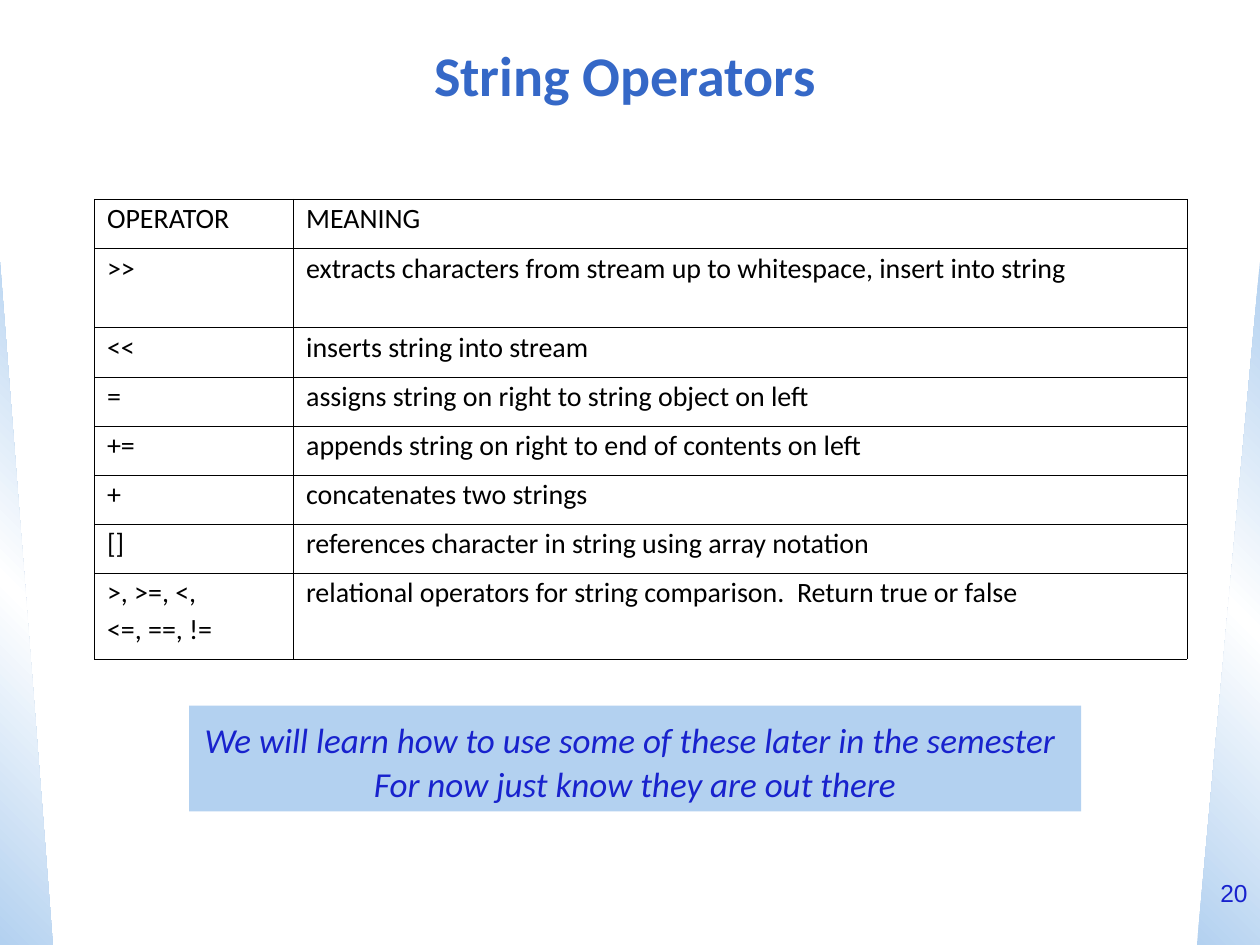
from copy import deepcopy

from lxml.etree import SubElement
from pptx import Presentation
from pptx.dml.color import RGBColor
from pptx.enum.shapes import MSO_SHAPE
from pptx.enum.text import MSO_ANCHOR, MSO_AUTO_SIZE, PP_ALIGN
from pptx.oxml.ns import qn
from pptx.util import Inches, Pt

OPERATORS = [
    ("OPERATOR", "MEANING"),
    (">>", "extracts characters from stream up to whitespace, insert into string"),
    ("<<", "inserts string into stream"),
    ("=", "assigns string on right to string object on left"),
    ("+=", "appends string on right to end of contents on left"),
    ("+", "concatenates two strings"),
    ("[]", "references character in string using array notation"),
    (">, >=, <,\n<=, ==, !=",
     "relational operators for string comparison.  Return true or false"),
]
ROW_HEIGHTS = [0.39, 0.63] + [0.39] * 5 + [0.68]
COLUMN_WIDTHS = [1.58, 7.09]


def color(value):
    return RGBColor.from_string(value)


class SlideBuilder:
    font = "Calibri"
    black = "000000"
    title_blue = "3568C7"
    ink_blue = "1822CD"
    pale_blue = "B3D1F0"
    white = "FFFFFF"
    outer_border = 0.23
    inner_border = 0.11

    def __init__(self, slide):
        self.slide = slide

    def add_run(self, paragraph, text, size, fill, font=None, bold=False, italic=False):
        run = paragraph.add_run()
        run.text = text
        run.font.name = font or self.font
        run.font.size = Pt(size)
        run.font.bold = bold
        run.font.italic = italic
        run.font.color.rgb = color(fill)

    def paragraphs(self, frame, count):
        return [frame.paragraphs[0]] + [frame.add_paragraph() for _ in range(count - 1)]

    def title(self, text, left, top, width, height):
        shape = self.slide.shapes.title
        shape.left, shape.top = Inches(left), Inches(top)
        shape.width, shape.height = Inches(width), Inches(height)
        shape.text_frame.vertical_anchor = MSO_ANCHOR.MIDDLE
        paragraph = shape.text_frame.paragraphs[0]
        paragraph.alignment = PP_ALIGN.CENTER
        self.add_run(paragraph, text, 32, self.title_blue, bold=True)

    def shape(self, kind, left, top, width, height):
        shape = self.slide.shapes.add_shape(
            kind, Inches(left), Inches(top), Inches(width), Inches(height))
        shape.shadow.inherit = False
        shape.line.fill.background()
        return shape

    def side_triangle(self, left, width, angle, mirrored=False):
        shape = self.shape(MSO_SHAPE.RIGHT_TRIANGLE, left, 2.08, width, 5.42)
        shape.fill.gradient()
        shape.fill.gradient_angle = angle
        stop_list = shape.element.spPr.find(qn("a:gradFill")).find(qn("a:gsLst"))
        stop_list.append(deepcopy(stop_list[0]))
        stops = [(0, self.pale_blue), (0.5, self.white), (1, self.pale_blue)]
        for stop, (position, fill) in zip(shape.fill.gradient_stops, stops):
            stop.position = position
            stop.color.rgb = color(fill)
        if mirrored:
            shape.element.spPr.find(qn("a:xfrm")).set("flipH", "1")

    def cell_borders(self, cell, outer_sides):
        properties = cell._tc.get_or_add_tcPr()
        for index, side in enumerate("LRTB"):
            width = self.outer_border if side in outer_sides else self.inner_border
            line = SubElement(properties, qn(f"a:ln{side}"), w=str(int(Pt(width))))
            fill = SubElement(line, qn("a:solidFill"))
            SubElement(fill, qn("a:srgbClr"), val=self.black)
            properties.insert(index, line)

    def table(self, rows, left, top, column_widths, row_heights):
        table = self.slide.shapes.add_table(
            len(rows), len(column_widths), Inches(left), Inches(top),
            Inches(sum(column_widths)), Inches(sum(row_heights))).table
        table.first_row = False
        table.horz_banding = False
        for column, width in zip(table.columns, column_widths):
            column.width = Inches(width)
        for row, height in zip(table.rows, row_heights):
            row.height = Inches(height)
        last_row, last_column = len(rows) - 1, len(column_widths) - 1
        for row_index, row in enumerate(rows):
            for column_index, text in enumerate(row):
                cell = table.cell(row_index, column_index)
                cell.fill.background()
                edges = {"L": column_index == 0, "R": column_index == last_column,
                         "T": row_index == 0, "B": row_index == last_row}
                self.cell_borders(cell, [side for side in edges if edges[side]])
                lines = text.split("\n")
                for paragraph, line in zip(self.paragraphs(cell.text_frame, len(lines)), lines):
                    paragraph.line_spacing = 0.86
                    paragraph.space_before = Pt(4)
                    self.add_run(paragraph, line, 16, self.black)

    def note(self, lines, left, top, width, height):
        shape = self.shape(MSO_SHAPE.RECTANGLE, left, top, width, height)
        shape.fill.solid()
        shape.fill.fore_color.rgb = color(self.pale_blue)
        frame = shape.text_frame
        frame.word_wrap = True
        frame.auto_size = MSO_AUTO_SIZE.SHAPE_TO_FIT_TEXT
        frame.vertical_anchor = MSO_ANCHOR.TOP
        for paragraph, runs in zip(self.paragraphs(frame, len(lines)), lines):
            paragraph.alignment = PP_ALIGN.CENTER
            for text, size in runs:
                self.add_run(paragraph, text, size, self.ink_blue, italic=True)

    def page_number(self, text, left, top, width, height):
        frame = self.slide.shapes.add_textbox(
            Inches(left), Inches(top), Inches(width), Inches(height)).text_frame
        frame.word_wrap = True
        paragraph = frame.paragraphs[0]
        paragraph.alignment = PP_ALIGN.RIGHT
        self.add_run(paragraph, text, 14, self.ink_blue, font="Arial")


def main():
    presentation = Presentation()
    presentation.slide_width = Inches(10)
    presentation.slide_height = Inches(7.5)
    builder = SlideBuilder(presentation.slides.add_slide(presentation.slide_layouts[5]))
    builder.side_triangle(0, 0.42, 225)
    builder.side_triangle(9.5, 0.5, 135, mirrored=True)
    builder.title("String Operators", 0.25, 0.17, 9.42, 0.83)
    builder.table(OPERATORS, 0.75, 1.58, COLUMN_WIDTHS, ROW_HEIGHTS)
    builder.note(
        [[("We will learn how to use some of these later in the semester", 20), (" ", 24)],
         [("For now just know they are out there", 20)]],
        1.5, 5.6, 7.08, 0.84)
    builder.page_number("20", 9.5, 6.92, 0.5, 0.58)
    presentation.save("out.pptx")


if __name__ == "__main__":
    main()
